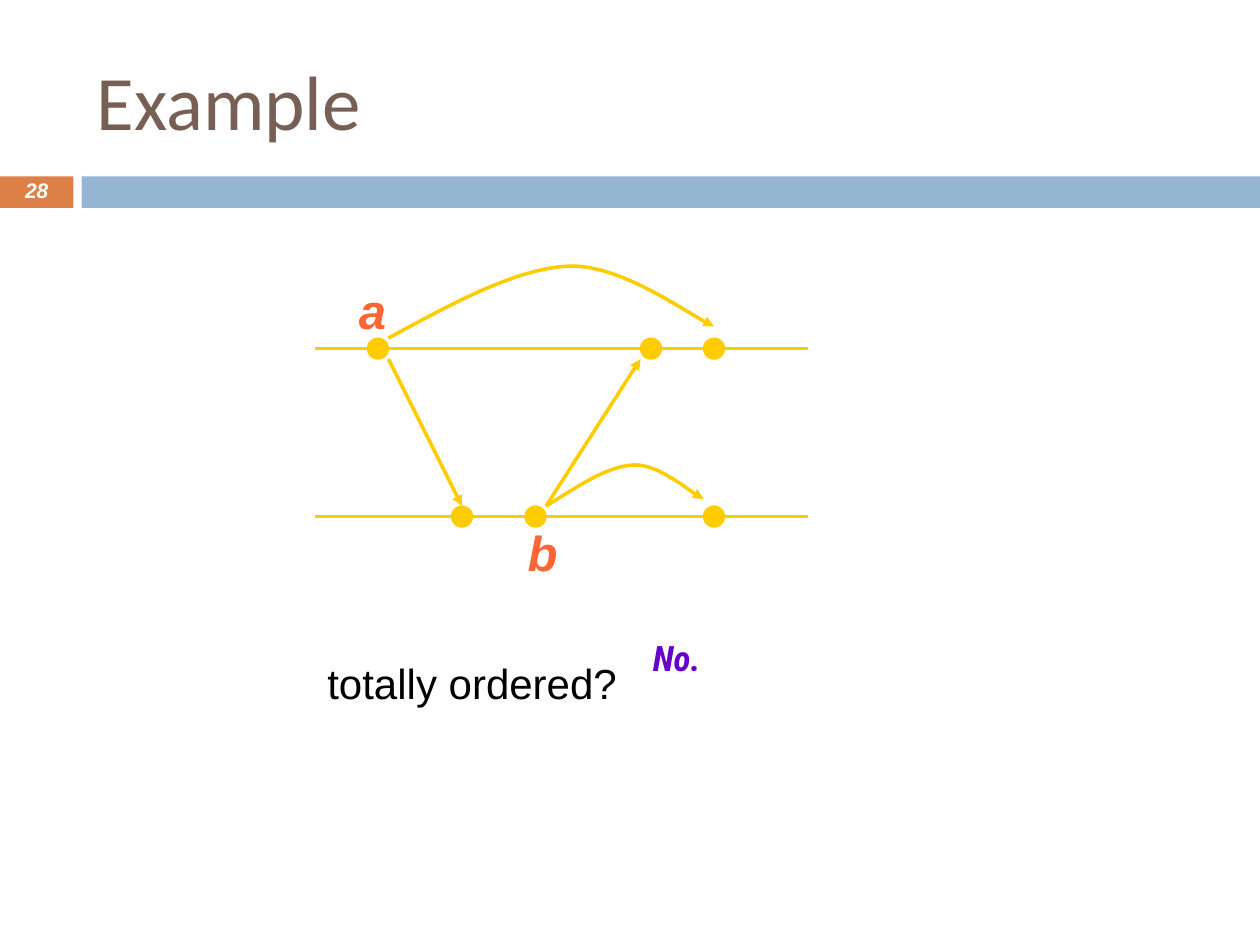
from lxml import etree
from pptx import Presentation
from pptx import util as u
from pptx.dml.color import RGBColor
from pptx.enum import shapes, text
from pptx.oxml.ns import qn

HUES = dict(title="775F55", tab="DD8047", band="94B6D2", gold="FFCC00",
            mark="FF6633", reply="6600CC", ink="000000", white="FFFFFF")


class Draw:
    """Holds the style and the current slide."""

    def __init__(self, slide, hues):
        self.slide, self.hues = slide, hues

    def hue(self, name):
        return RGBColor.from_string(self.hues[name])

    def font(self, para, size, hue, face="Arial", strong=False):
        font = para.font
        font.size, font.name = u.Pt(size), face
        font.bold = font.italic = strong
        font.color.rgb = self.hue(hue)

    def title(self, words, box):
        item = self.slide.shapes.title
        item.left, item.top, item.width, item.height = map(u.Pt, box)
        frame = item.text_frame
        frame.text = words
        frame.vertical_anchor = text.MSO_ANCHOR.MIDDLE
        para = frame.paragraphs[0]
        para.alignment = text.PP_ALIGN.LEFT
        self.font(para, 44, "title", "Calibri")

    def shape(self, kind, box, hue, edge=False):
        item = self.slide.shapes.add_shape(kind, *map(u.Pt, box))
        item.shadow.inherit = False
        item.fill.solid()
        item.fill.fore_color.rgb = self.hue(hue)
        if edge:
            item.line.color.rgb = self.hue(hue)
            item.line.width = u.Pt(0.75)
        else:
            item.line.fill.background()

    def dot(self, x, y):
        self.shape(shapes.MSO_SHAPE.OVAL, (x - 6, y - 6, 12, 12), "gold", True)

    def label(self, words, box, size, hue, face="Arial", strong=True):
        item = self.slide.shapes.add_textbox(*map(u.Pt, box))
        frame = item.text_frame
        frame.word_wrap = False
        frame.text = words
        para = frame.paragraphs[0]
        self.font(para, size, hue, face, strong)
        return frame

    def number(self, words, box):
        frame = self.label(words, box, 12, "white")
        frame.word_wrap = True
        frame.vertical_anchor = text.MSO_ANCHOR.MIDDLE
        para = frame.paragraphs[0]
        para.alignment = text.PP_ALIGN.CENTER
        para.line_spacing = 0.8

    def stroke(self, item, arrow):
        item.line.color.rgb = self.hue("gold")
        item.line.width = u.Pt(2)
        if arrow:
            etree.SubElement(item.line._get_or_add_ln(), qn("a:tailEnd"), type="triangle")

    def line(self, start, end, arrow=False):
        item = self.slide.shapes.add_connector(
            shapes.MSO_CONNECTOR.STRAIGHT, *map(u.Pt, start + end))
        self.stroke(item, arrow)
        etree.SubElement(item._element.spPr, qn("a:effectLst"))

    def curve(self, start, *parts, steps=16):
        dots, last = [], start
        for part in parts:
            knots = (last,) + part
            for step in range(1, steps + 1):
                t = step / steps
                rates = ((1 - t) ** 3, 3 * t * (1 - t) ** 2, 3 * t * t * (1 - t), t ** 3)
                dots.append(tuple(u.Pt(sum(r * k[i] for r, k in zip(rates, knots)))
                                  for i in (0, 1)))
            last = part[-1]
        pen = self.slide.shapes.build_freeform(*map(u.Pt, start))
        pen.add_line_segments(dots, close=False)
        item = pen.convert_to_shape()
        item.shadow.inherit = False
        item.fill.background()
        self.stroke(item, True)


def main():
    deck = Presentation()
    deck.slide_width, deck.slide_height = u.Pt(720), u.Pt(540)
    draw = Draw(deck.slides.add_slide(deck.slide_layouts[5]), HUES)

    box = shapes.MSO_SHAPE.RECTANGLE
    draw.shape(box, (0, 100.8, 42, 18), "tab")
    draw.shape(box, (46.6, 100.8, 673.4, 18), "band")
    draw.title("Example", (48, 18, 642, 78))
    draw.number("28", (0, 100, 42, 19.5))

    for y, row in ((199.2, (216, 372, 408)), (295.2, (264, 306, 408))):
        draw.line((180, y), (462, y))
        for x in row:
            draw.dot(x, y)

    draw.line((312, 289.2), (366, 205.2), True)
    draw.line((222, 205.2), (264, 289.2), True)
    draw.curve((312, 289.2),
               ((330, 278), (347, 266.4), (362, 265.7)),
               ((377.3, 265), (395.3, 282.2), (402, 285.2)))
    draw.curve((222, 193.2),
               ((258.5, 173.5), (294.5, 153.4), (325.4, 152)),
               ((356.4, 151.2), (394.6, 180.7), (408, 186.5)))

    draw.label("a", (198, 157, 29.5, 41), 28, "mark")
    draw.label("b", (294.5, 295.2, 31.7, 41), 28, "mark")
    draw.label("totally ordered?", (180, 372, 180, 36), 24, "ink", strong=False)
    draw.label("No.", (366, 360, 42, 42), 20, "reply", "Roboto Condensed")
    deck.save("out.pptx")


if __name__ == "__main__":
    main()
